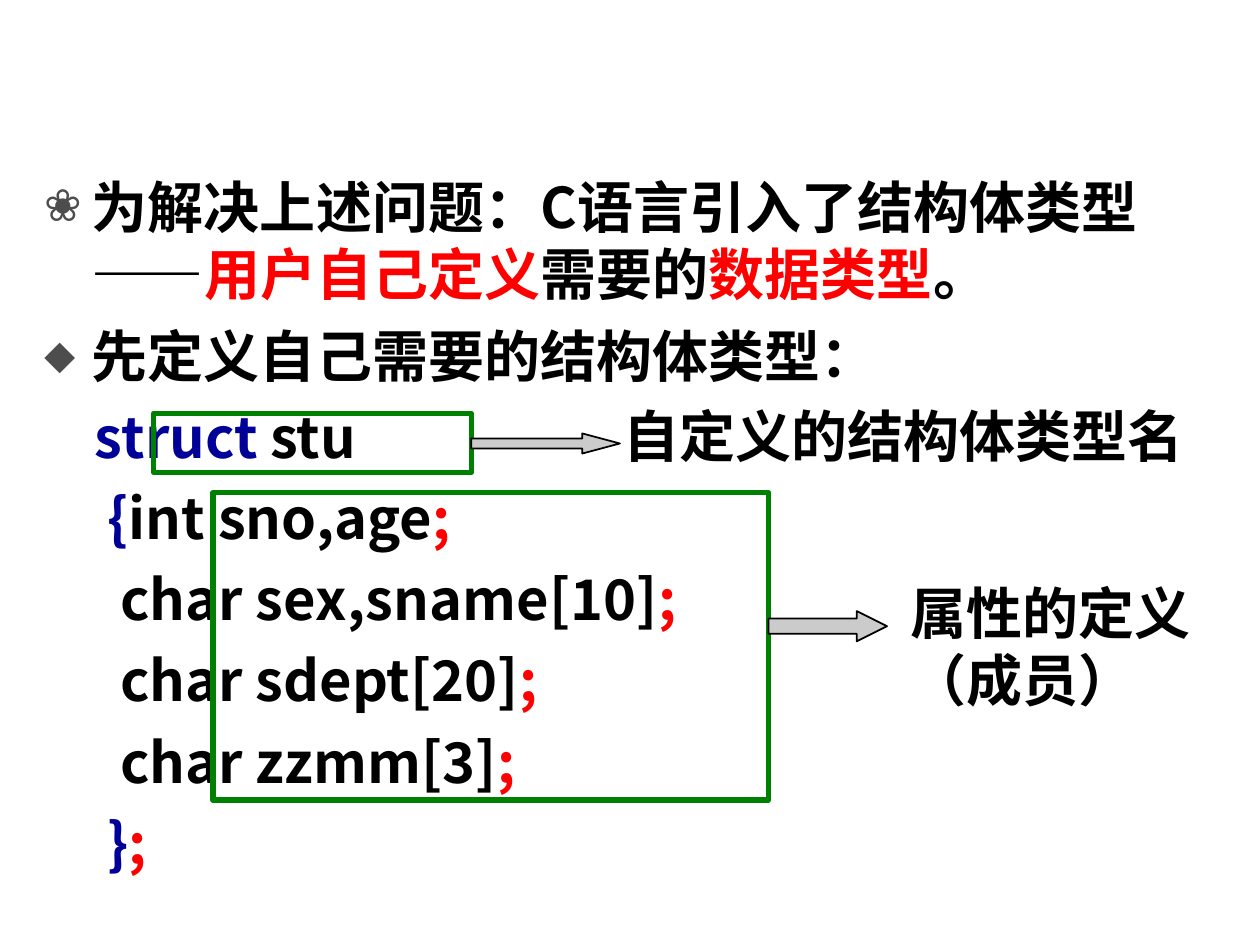
from lxml import etree
from pptx import Presentation
from pptx.dml.color import RGBColor
from pptx.enum.shapes import MSO_SHAPE
from pptx.enum.text import MSO_ANCHOR, MSO_AUTO_SIZE
from pptx.oxml.ns import qn
from pptx.util import Inches, Pt

RECTANGLE = MSO_SHAPE.RECTANGLE
RIGHT_ARROW = MSO_SHAPE.RIGHT_ARROW
TOP = MSO_ANCHOR.TOP
NO_AUTOFIT = MSO_AUTO_SIZE.NONE

COLORS = {
    "text": "000000", "accent": "FF0000", "keyword": "000099",
    "bullet": "4D4D4D", "frame": "008000", "arrow": "CBCBCB",
}
BODY_FONT = "Noto Sans CJK SC"
LABEL_FONT = "Times New Roman"
HANGING = 0.38

# Each line: bullet (or None), then its spans as (text, colour name)
LINES = [
    ("❀", [("为解决上述问题：C语言引入了结构体类型——", "text"), ("用户自己定义", "accent"),
           ("需要的", "text"), ("数据类型", "accent"), ("。", "text")]),
    ("⬥", [("先定义自己需要的结构体类型：", "text")]),
    (None, [("    ", "text"), ("struct", "keyword"), (" stu", "text")]),
    (None, [("     ", "text"), ("{", "keyword"), ("int sno,age", "text"), (";", "accent")]),
    (None, [("      char sex,sname[10]", "text"), (";", "accent")]),
    (None, [("      char sdept[20]", "text"), (";", "accent")]),
    (None, [("      char zzmm[3]", "text"), (";", "accent")]),
    (None, [("     ", "text"), ("}", "keyword"), (";", "accent")]),
]


def color(name):
    return RGBColor.from_string(COLORS[name])


def add_span(para, text, *, font=BODY_FONT, size=32, fill="text", bold=True):
    span = para.add_run()
    span.text = text
    span.font.name = font
    span.font.size = Pt(size)
    span.font.bold = bold
    span.font.color.rgb = color(fill)
    east_asian = etree.SubElement(span.font._element, qn("a:ea"))
    east_asian.set("typeface", BODY_FONT)


def set_bullet(para, symbol):
    """Give the paragraph a hanging indent and a bullet, or none."""
    props = para._p.get_or_add_pPr()
    props.set("marL", str(Inches(HANGING)))
    props.set("indent", str(-Inches(HANGING)))
    if symbol is None:
        etree.SubElement(props, qn("a:buNone"))
        return
    tint = etree.SubElement(props, qn("a:buClr"))
    etree.SubElement(tint, qn("a:srgbClr")).set("val", COLORS["bullet"])
    etree.SubElement(props, qn("a:buSzPct")).set("val", "80000")
    etree.SubElement(props, qn("a:buChar")).set("char", symbol)


def fill_body(body):
    body.left, body.top = Inches(0.25), Inches(1.32)
    body.width, body.height = Inches(9.5), Inches(5.9)
    frame = body.text_frame
    frame.auto_size = NO_AUTOFIT
    frame.vertical_anchor = TOP
    for index, (symbol, spans) in enumerate(LINES):
        para = frame.add_paragraph() if index else frame.paragraphs[0]
        set_bullet(para, symbol)
        para.space_before = Pt(8 if index else 0)
        for text, fill in spans:
            add_span(para, text, fill=fill)


def add_outline(group, kind, area, *, line, weight, fill=None):
    shape = group.shapes.add_shape(kind, *map(Inches, area))
    shape.shadow.inherit = False
    shape.line.color.rgb = color(line)
    shape.line.width = Pt(weight)
    if fill:
        shape.fill.solid()
        shape.fill.fore_color.rgb = color(fill)
    else:
        shape.fill.background()
    return shape


def add_callout(slide, text, *, frame, arrow, label, head, wrap):
    """Frame a part of the code and point from it to a label."""
    group = slide.shapes.add_group_shape()
    add_outline(group, RECTANGLE, frame, line="frame", weight=3)
    pointer = add_outline(group, RIGHT_ARROW, arrow, line="text", weight=1, fill="arrow")
    pointer.adjustments[1] = head
    box = group.shapes.add_textbox(*map(Inches, label))
    box.text_frame.word_wrap = wrap
    add_span(box.text_frame.paragraphs[0], text, font=LABEL_FONT)


def main():
    deck = Presentation()
    deck.slide_width, deck.slide_height = Inches(10), Inches(7.5)
    slide = deck.slides.add_slide(deck.slide_layouts[1])

    # The slide has a body but no title
    title = slide.shapes.title._element
    title.getparent().remove(title)
    fill_body(slide.placeholders[1])

    # Type name and members
    add_callout(slide, "自定义的结构体类型名", frame=(1.22, 3.28, 2.52, 0.47),
                arrow=(3.74, 3.44, 1.18, 0.16), label=(4.85, 3.14, 4.65, 0.64),
                head=1.87, wrap=False)
    add_callout(slide, "属性的定义（成员）", frame=(1.69, 3.91, 4.41, 2.44),
                arrow=(6.1, 4.85, 0.94, 0.24), label=(7.13, 4.54, 2.6, 1.17),
                head=1, wrap=True)
    deck.save("out.pptx")


if __name__ == "__main__":
    main()
